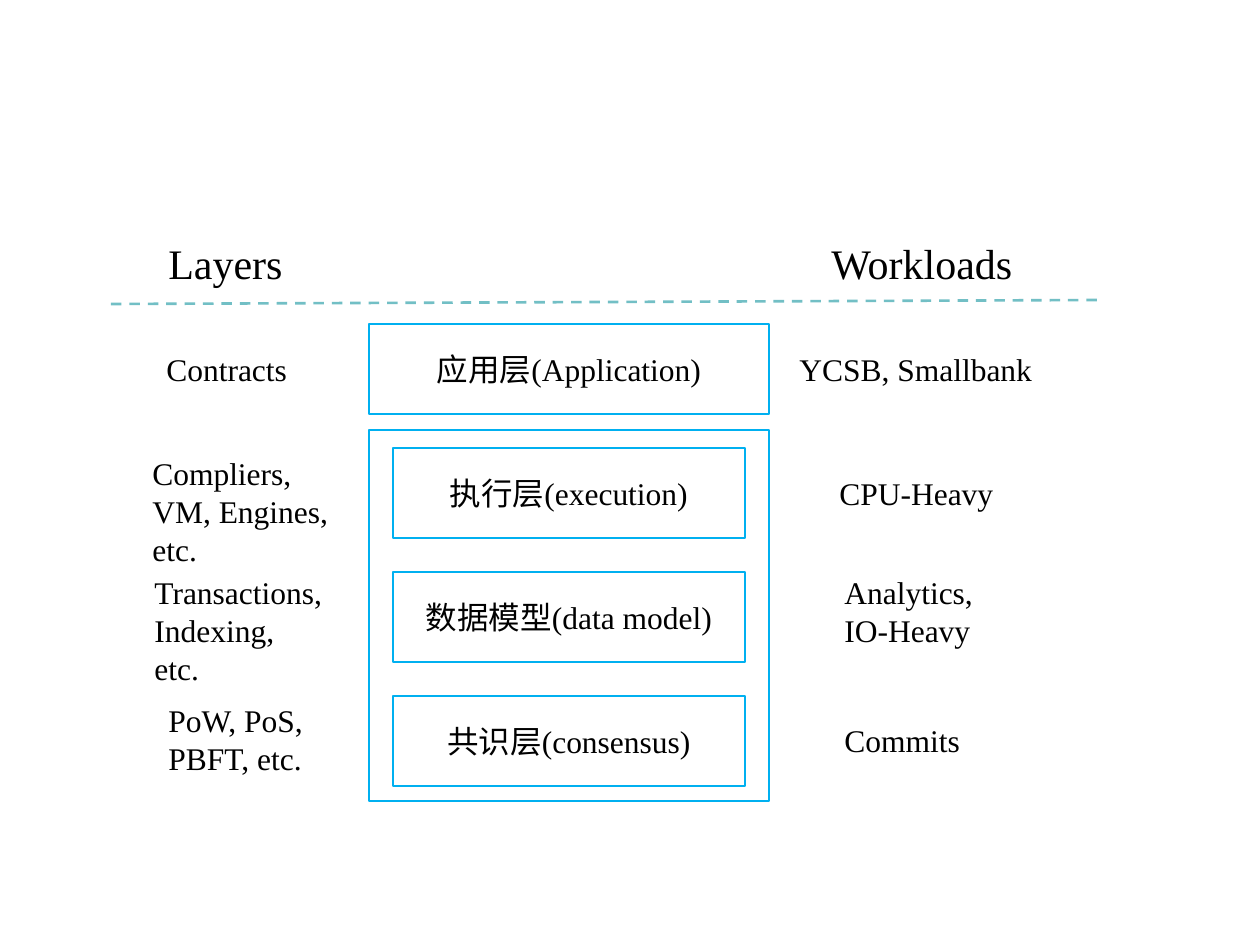
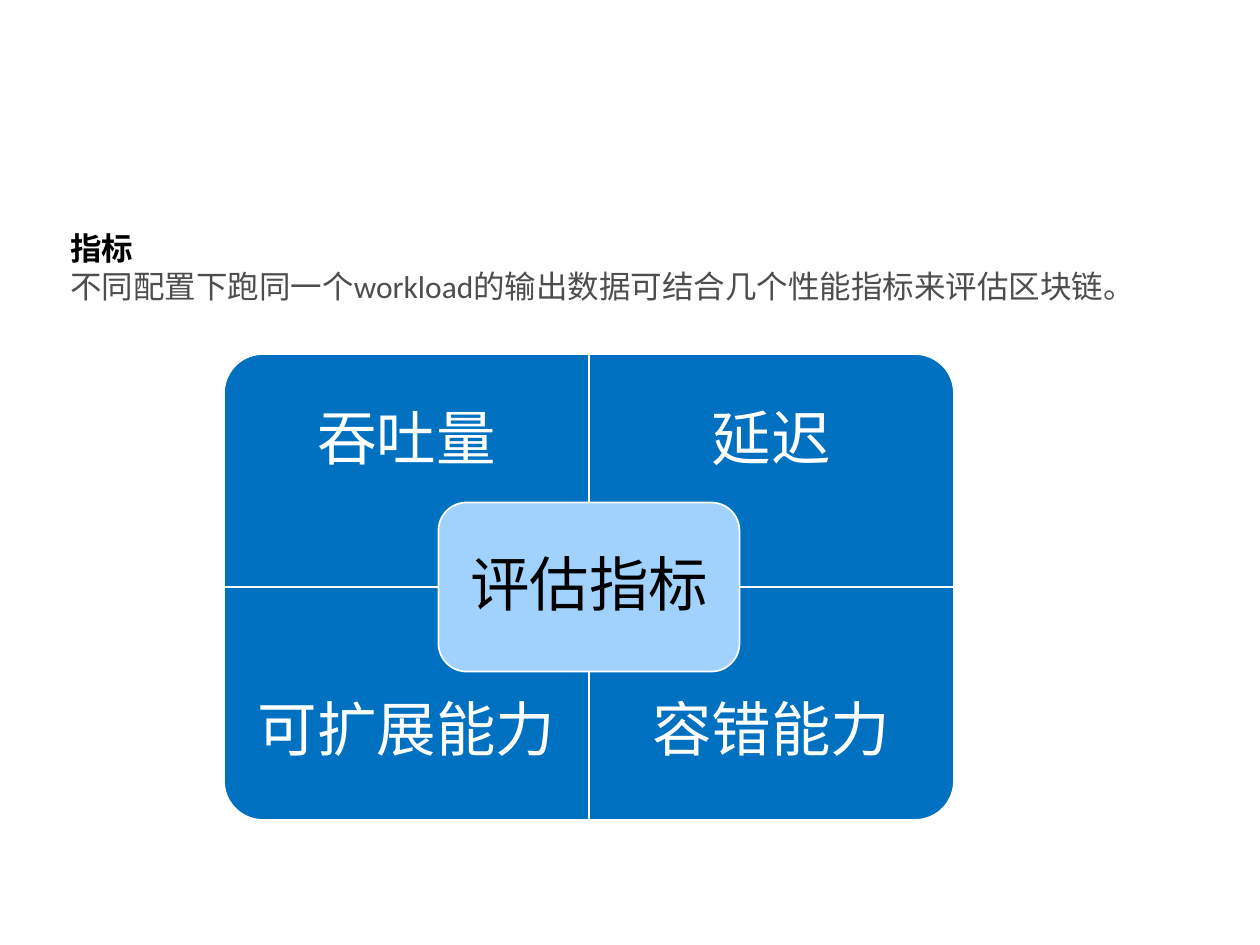
from pptx import Presentation
from pptx.dml.color import RGBColor
from pptx.enum.dml import MSO_LINE
from pptx.enum.shapes import MSO_CONNECTOR, MSO_SHAPE as SHAPE
from pptx.enum.text import MSO_ANCHOR as ANCHOR, PP_ALIGN as ALIGN
from pptx.util import Emu, Pt
from lxml import etree

# Shared style
SCALE = 914400 / 126
BLACK, WHITE, GREY = "000000", "FFFFFF", "4D4D4D"
SKY, TEAL, BLUE, PALE = "00B0F0", "72BFC5", "0070C0", "A1D1FD"
SERIF, SANS, BODY = "Times New Roman", "Arial", "Calibri"
A_NS = "http://schemas.openxmlformats.org/drawingml/2006/main"

# Slide 1: heading, left, width
HEADINGS = [("Layers", 156, 141), ("Workloads", 819, 208)]
HEADING_TOP = 231
RULE = (111, 304, 1104, 300)
# Layer box, then (text, left, width, height, wraps) on each side, and how far these are raised
LAYERS = [
    ("应用层(Application)", ("Contracts", 154, 147, 50, False),
     ("YCSB, Smallbank", 787, 261, 50, False), 0),
    ("执行层(execution)", ("Compliers, VM, Engines, etc.", 140, 229, 90, True),
     ("CPU-Heavy", 827, 181, 50, False), 0),
    ("数据模型(data model)", ("Transactions, Indexing, etc.", 142, 196, 90, True),
     ("Analytics, IO-Heavy", 832, 181, 90, True), 5),
    ("共识层(consensus)", ("PoW, PoS, PBFT, etc.", 156, 196, 90, True),
     ("Commits", 832, 181, 50, True), 1),
]
STACK_LEFT, STACK_WIDTH, STACK_INDENT = 369, 400, 24
LAYER_TOP, LAYER_PITCH, LAYER_HEIGHT = 324, 124, 90
PLATFORM_FRAME = (STACK_LEFT, 430, STACK_WIDTH, 371)

# Slide 2: intro, then metric, column, row, rotation
INTRO = [("指标", BLACK, True),
         ("不同配置下跑同一个workload的输出数据可结合几个性能指标来评估区块链。", GREY, False)]
METRICS = [("吞吐量", 0, 0, 270), ("延迟", 1, 0, 0),
           ("可扩展能力", 0, 1, 180), ("容错能力", 1, 1, 90)]
MATRIX_LEFT, MATRIX_TOP, CELL_WIDTH, CELL_HEIGHT = 224, 354, 365, 233
LABEL_HEIGHT = 175
CENTRE = "评估指标"
CENTRE_WIDTH, CENTRE_HEIGHT, CENTRE_MARGIN = 301, 169, 8


def px(value):
    return Emu(round(value * SCALE))


def color(hex_string):
    return RGBColor.from_string(hex_string)


def write(frame, text, size=18, font=SERIF, ink=BLACK, bold=False,
          align=ALIGN.LEFT, spacing=None, first=True):
    paragraph = frame.paragraphs[0] if first else frame.add_paragraph()
    paragraph.alignment = align
    if spacing:
        paragraph.line_spacing = spacing
    run = paragraph.add_run()
    run.text = text
    run.font.size, run.font.name, run.font.bold = Pt(size), font, bold
    run.font.color.rgb = color(ink)


def text_frame(slide, left, top, width, height, wrap=True, inset=None, anchor=ANCHOR.TOP):
    frame = slide.shapes.add_textbox(px(left), px(top), px(width), px(height)).text_frame
    frame.word_wrap = wrap
    frame.vertical_anchor = anchor
    if inset is not None:
        frame.margin_left = frame.margin_right = px(inset)
        frame.margin_top = frame.margin_bottom = px(inset)
    return frame


def block(slide, kind, left, top, width, height, fill=None, line=WHITE, weight=1.0):
    shape = slide.shapes.add_shape(kind, px(left), px(top), px(width), px(height))
    shape.shadow.inherit = False
    if fill:
        shape.fill.solid()
        shape.fill.fore_color.rgb = color(fill)
    else:
        shape.fill.background()
    shape.line.color.rgb = color(line)
    shape.line.width = Pt(weight)
    return shape


def outline(slide, *place):
    return block(slide, SHAPE.RECTANGLE, *place, line=SKY, weight=1.5)


def metric_label(slide, text, *place, inset, ink):
    frame = text_frame(slide, *place, inset=inset, anchor=ANCHOR.MIDDLE)
    write(frame, text, size=34, font=SANS, ink=ink, align=ALIGN.CENTER, spacing=0.9)


def build_layers(slide):
    for heading, left, width in HEADINGS:
        write(text_frame(slide, left, HEADING_TOP, width, 63, wrap=False), heading, size=24)

    # Dashed rule under the headings
    rule = slide.shapes.add_connector(MSO_CONNECTOR.STRAIGHT, *map(px, RULE))
    rule.line.color.rgb = color(TEAL)
    rule.line.width = Pt(1.5)
    rule.line.dash_style = MSO_LINE.DASH
    etree.SubElement(rule._element.spPr, f"{{{A_NS}}}effectLst")

    # Layers with their parts and workloads
    for row, (layer, parts, workload, raised) in enumerate(LAYERS):
        top = LAYER_TOP + row * LAYER_PITCH
        indent = STACK_INDENT if row else 0
        box = outline(slide, STACK_LEFT + indent, top, STACK_WIDTH - 2 * indent, LAYER_HEIGHT)
        box.text_frame.vertical_anchor = ANCHOR.MIDDLE
        write(box.text_frame, layer, align=ALIGN.CENTER)
        for text, left, width, height, wrap in (parts, workload):
            text_top = top + (LAYER_HEIGHT - height) / 2 - raised
            write(text_frame(slide, left, text_top, width, height, wrap=wrap), text)
    outline(slide, *PLATFORM_FRAME)


def build_metrics(slide):
    intro = text_frame(slide, 58, 223, 1062, 90)
    for number, (text, ink, bold) in enumerate(INTRO):
        write(intro, text, font=BODY, ink=ink, bold=bold, first=number == 0)

    # Four quadrants, each turned so that its round corner points outwards
    for metric, column, row, rotation in METRICS:
        left = MATRIX_LEFT + column * CELL_WIDTH
        top = MATRIX_TOP + row * CELL_HEIGHT
        width, height = CELL_WIDTH, CELL_HEIGHT
        if rotation % 180:
            width, height = height, width
        quadrant = block(slide, SHAPE.ROUND_1_RECTANGLE, left + (CELL_WIDTH - width) / 2,
                         top + (CELL_HEIGHT - height) / 2, width, height, fill=BLUE)
        quadrant.rotation = rotation
        label_top = top + row * (CELL_HEIGHT - LABEL_HEIGHT)
        metric_label(slide, metric, left, label_top, CELL_WIDTH, LABEL_HEIGHT,
                     inset=33, ink=WHITE)

    # Centre plate
    left = MATRIX_LEFT + CELL_WIDTH - CENTRE_WIDTH / 2
    top = MATRIX_TOP + CELL_HEIGHT - CENTRE_HEIGHT / 2
    block(slide, SHAPE.ROUNDED_RECTANGLE, left, top, CENTRE_WIDTH, CENTRE_HEIGHT, fill=PALE)
    metric_label(slide, CENTRE, left + CENTRE_MARGIN, top + CENTRE_MARGIN,
                 CENTRE_WIDTH - 2 * CENTRE_MARGIN, CENTRE_HEIGHT - 2 * CENTRE_MARGIN,
                 inset=18, ink=BLACK)


deck = Presentation()
deck.slide_width, deck.slide_height = px(1260), px(945)
for build in (build_layers, build_metrics):
    build(deck.slides.add_slide(deck.slide_layouts[6]))
deck.save("out.pptx")
